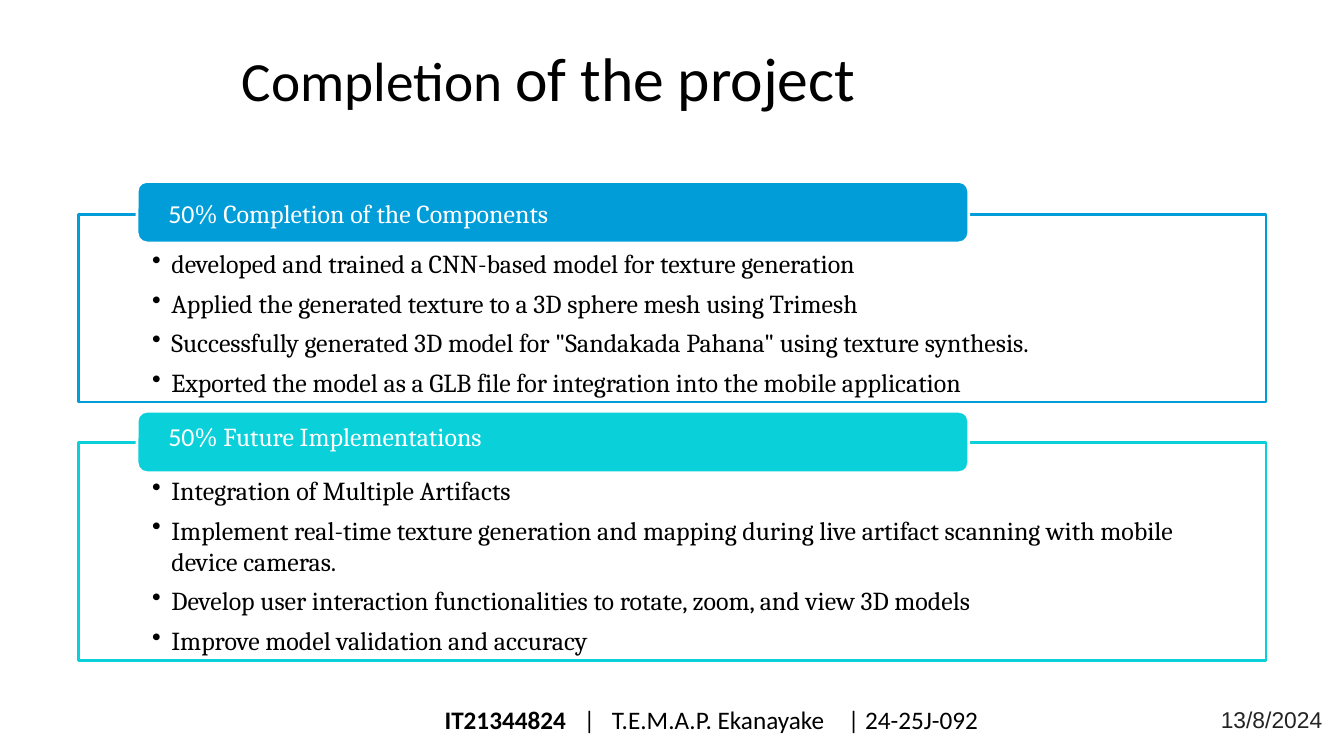
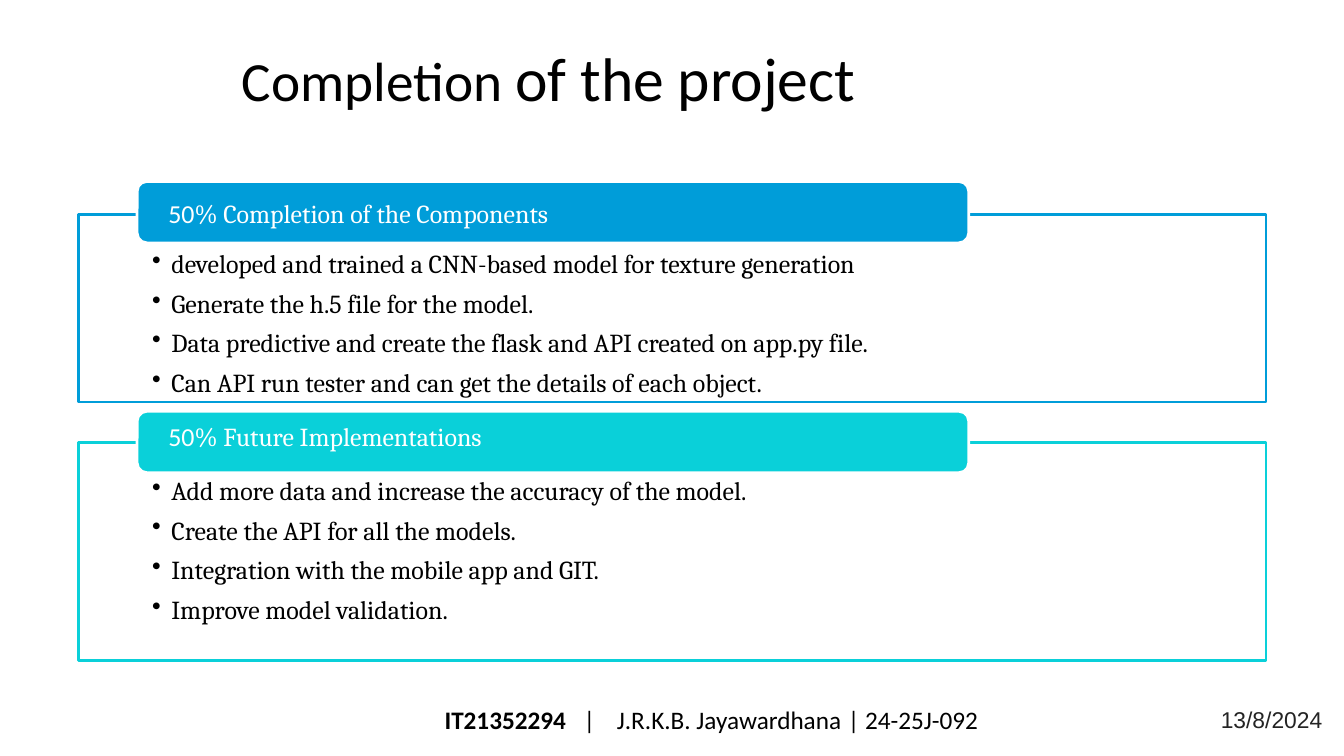
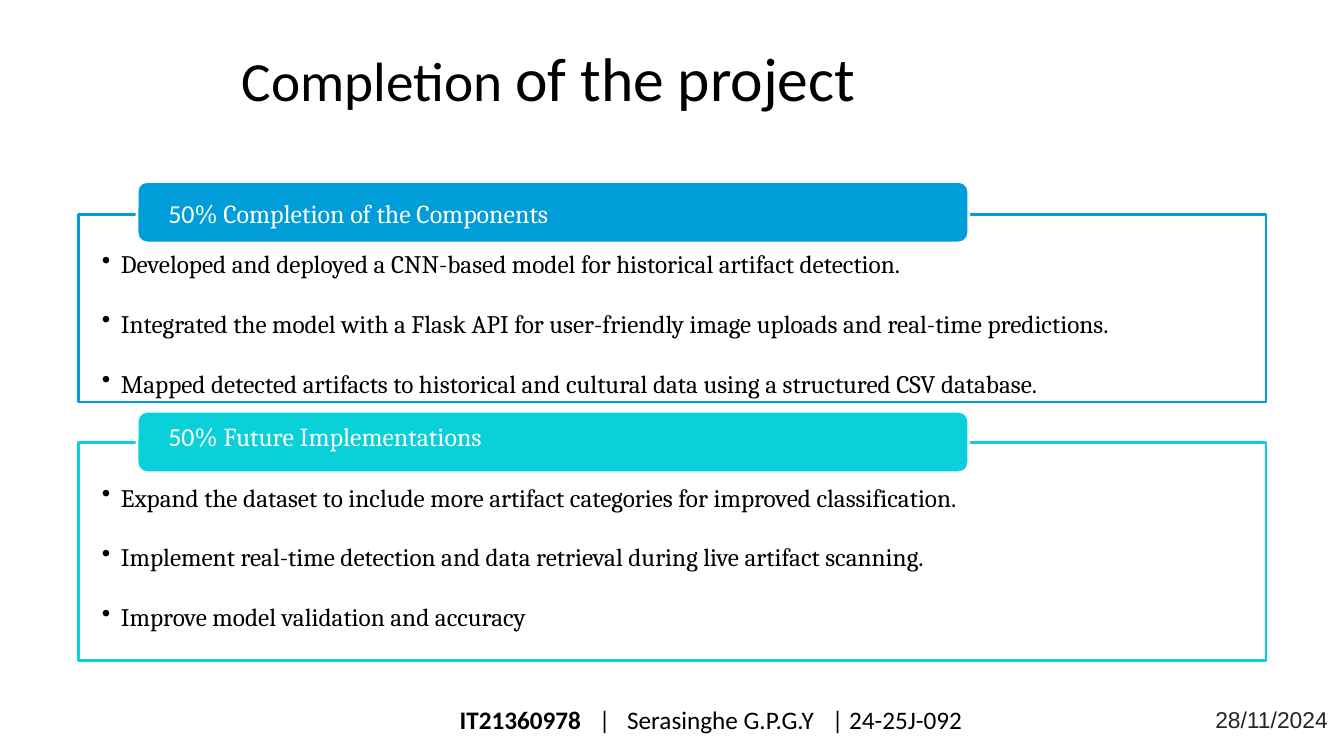
from pptx import Presentation
from pptx.dml.color import RGBColor
from pptx.enum.shapes import MSO_SHAPE
from pptx.enum.text import MSO_ANCHOR, PP_ALIGN
from pptx.util import Inches, Pt
from lxml import etree

RECT, ROUND = MSO_SHAPE.RECTANGLE, MSO_SHAPE.ROUNDED_RECTANGLE
TOP, MIDDLE = MSO_ANCHOR.TOP, MSO_ANCHOR.MIDDLE
LEFT, CENTER = PP_ALIGN.LEFT, PP_ALIGN.CENTER

BLUE = RGBColor(0x00, 0x9D, 0xD9)
TEAL = RGBColor(0x0A, 0xD0, 0xD9)
WHITE = RGBColor(0xFF, 0xFF, 0xFF)
BLACK = RGBColor(0x00, 0x00, 0x00)
GREY = RGBColor(0x24, 0x24, 0x24)

WIDTH, HEIGHT = Inches(13.33), Inches(7.5)
COL, ROW = WIDTH / 100, HEIGHT / 100
A_NS = "http://schemas.openxmlformats.org/drawingml/2006/main"

TITLE = {"name": "Calibri", "size": Pt(44), "color": BLACK}
SMALL = {**TITLE, "size": Pt(39.5)}
HEAD = {"name": "Cambria", "size": Pt(18.5), "color": WHITE}
COUNT = {**HEAD, "name": "Calibri"}
BODY = {"name": "Cambria", "size": Pt(18.5), "color": BLACK}
FOOT = {"name": "Calibri", "size": Pt(18), "color": BLACK}
DATE = {"name": "Arial", "size": Pt(16.3), "color": GREY}

PANELS = [
    {"color": BLUE, "top": 28.4, "rows": 24.8, "tab": 24, "head": 25.87,
     "text": "% Completion of the Components"},
    {"color": TEAL, "top": 58.53, "rows": 28.8, "tab": 54.4, "head": 55.33,
     "text": "% Future Implementations"},
]

WIDE = {"left": 11.25, "cols": 81.23, "tops": (32.53, 62.53),
        "font": BODY, "gap": Pt(6)}
LOOSE = {"left": 7.5, "cols": 86.7, "tops": (32.53, 63.47),
         "font": {**BODY, "size": Pt(18)}, "gap": Pt(21.2)}

PAGES = [
    {"title": 12.93, "form": WIDE, "rows": (20.27, 24.4),
     "lists": (
         ["developed and trained a CNN-based model for texture generation",
          "Applied the generated texture to a 3D sphere mesh using Trimesh",
          'Successfully generated 3D model for "Sandakada Pahana" using texture synthesis.',
          "Exported the model as a GLB file for integration into the mobile application"],
         ["Integration of Multiple Artifacts",
          "Implement real-time texture generation and mapping during live artifact "
          "scanning with mobile device cameras.",
          "Develop user interaction functionalities to rotate, zoom, and view 3D models",
          "Improve model validation and accuracy"]),
     "foot": ("IT21344824", "T.E.M.A.P. Ekanayake"), "inset": 1.08,
     "stops": (1.38, 1.66, 4), "date": "13/8/2024"},
    {"title": 22.27, "form": WIDE, "rows": (20.53, 20.27),
     "lists": (
         ["developed and trained a CNN-based model for texture generation",
          "Generate the h.5 file for the model.",
          "Data predictive and create the flask and API created on app.py file.",
          "Can API run tester and can get the details of each object."],
         ["Add more data and increase the accuracy of the model.",
          "Create the API for all the models.",
          "Integration with the mobile app and GIT.",
          "Improve model validation."]),
     "foot": ("IT21352294", "J.R.K.B. Jayawardhana"), "inset": 1.08,
     "stops": (1.38, 1.71, 4), "date": "13/8/2024"},
    {"title": 22.27, "form": LOOSE, "rows": (28.27, 36.27),
     "lists": (
         ["Developed and deployed a CNN-based model for historical artifact detection.",
          "Integrated the model with a Flask API for user-friendly image uploads "
          "and real-time predictions.",
          "Mapped detected artifacts to historical and cultural data using a "
          "structured CSV database."],
         ["Expand the dataset to include more artifact categories for improved classification.",
          "Implement real-time detection and data retrieval during live artifact scanning.",
          "Improve model validation and accuracy"]),
     "foot": ("IT21360978", "Serasinghe G.P.G.Y"), "inset": 1.23,
     "stops": (1.38, 1.66, 3.69), "date": "28/11/2024"},
]


def grid(left, top, cols, rows):
    """Turn grid columns and rows into slide lengths."""
    return [int(n) for n in (left * COL, top * ROW, cols * COL, rows * ROW)]


def add_run(para, text, style):
    """Add a run with the given font values."""
    run = para.add_run()
    run.text = text
    for key, value in style.items():
        if key == "color":
            run.font.color.rgb = value
        else:
            setattr(run.font, key, value)


def set_frame(frame, top=0, left=0, anchor=TOP):
    """Set wrapping, anchor and insets of a text frame."""
    values = {"word_wrap": True, "vertical_anchor": anchor,
              "margin_left": Inches(left), "margin_top": Inches(top),
              "margin_right": 0, "margin_bottom": 0}
    for key, value in values.items():
        setattr(frame, key, value)
    return frame


def add_box(slide, area, **form):
    """Add a text box and return its frame."""
    return set_frame(slide.shapes.add_textbox(*grid(*area)).text_frame, **form)


def add_tag(para, parent, tag, **values):
    """Add a drawing element to the paragraph properties."""
    root = para._p.get_or_add_pPr() if parent is None else parent
    return etree.SubElement(root, f"{{{A_NS}}}{tag}", values)


def set_indent(para, left, first=0):
    """Set the left margin and first-line indent in inches."""
    props = para._p.get_or_add_pPr()
    props.set("marL", str(Inches(left)))
    props.set("indent", str(Inches(first)))


def add_title(slide, rows):
    """Place and fill the title placeholder."""
    title = slide.shapes.title
    title.left, title.top, title.width, title.height = grid(13.65, 2, 72.68, rows)
    para = set_frame(title.text_frame, top=0.25).paragraphs[0]
    para.alignment = LEFT
    set_indent(para, 0.58)
    add_run(para, "Completion ", SMALL)
    add_run(para, "of the project", TITLE)


def add_shape(slide, kind, area, line, fill=None):
    """Add a flat shape with an outline and an optional fill."""
    shape = slide.shapes.add_shape(kind, *grid(*area))
    shape.shadow.inherit = False
    shape.line.color.rgb = line
    shape.line.width = Pt(2)
    if fill is None:
        shape.fill.background()
    else:
        shape.fill.solid()
        shape.fill.fore_color.rgb = fill
    return shape


def add_panel(slide, panel):
    """Add an outlined panel with its heading tab."""
    color = panel["color"]
    add_shape(slide, RECT, (5.85, panel["top"], 88.35, panel["rows"]), color)
    tab = add_shape(slide, ROUND, (10.2, panel["tab"], 61.88, 8.13), WHITE, color)
    tab.adjustments[0] = 0.16
    para = add_box(slide, (12.3, panel["head"], 73.95, 4.4), top=0.02).paragraphs[0]
    set_indent(para, 0.03)
    add_run(para, "50", COUNT)
    add_run(para, panel["text"], HEAD)


def add_list(slide, area, items, font, gap):
    """Add a bulleted list."""
    frame = add_box(slide, area, top=0.02)
    for num, item in enumerate(items):
        para = frame.add_paragraph() if num else frame.paragraphs[0]
        set_indent(para, 0.2, -0.19)
        add_tag(para, None, "buChar", char="•")
        if num:
            para.space_before = gap
        add_run(para, item, font)


def add_foot(slide, page):
    """Add the author line and the date."""
    frame = add_box(slide, (24.98, 92.53, 55.88, 5.33),
                    left=page["inset"], anchor=MIDDLE)
    para = frame.paragraphs[0]
    tabs = add_tag(para, None, "tabLst")
    for stop in page["stops"]:
        add_tag(para, tabs, "tab", pos=str(Inches(stop)), algn="l")
    code, name = page["foot"]
    add_run(para, code, {**FOOT, "bold": True})
    add_run(para, f"\t|\t{name}\t| 24-25J-092", FOOT)
    para = add_box(slide, (89.4, 92.27, 10.43, 4.8)).paragraphs[0]
    para.alignment = CENTER
    para.line_spacing = 1.3
    add_run(para, page["date"], DATE)


def add_page(deck, page):
    """Build one slide from its content."""
    slide = deck.slides.add_slide(deck.slide_layouts[5])
    add_title(slide, page["title"])
    for panel in PANELS:
        add_panel(slide, panel)
    form = page["form"]
    for top, rows, items in zip(form["tops"], page["rows"], page["lists"]):
        area = (form["left"], top, form["cols"], rows)
        add_list(slide, area, items, form["font"], form["gap"])
    add_foot(slide, page)


def main():
    """Build and save the deck."""
    deck = Presentation()
    deck.slide_width, deck.slide_height = WIDTH, HEIGHT
    for page in PAGES:
        add_page(deck, page)
    deck.save("out.pptx")


if __name__ == "__main__":
    main()
